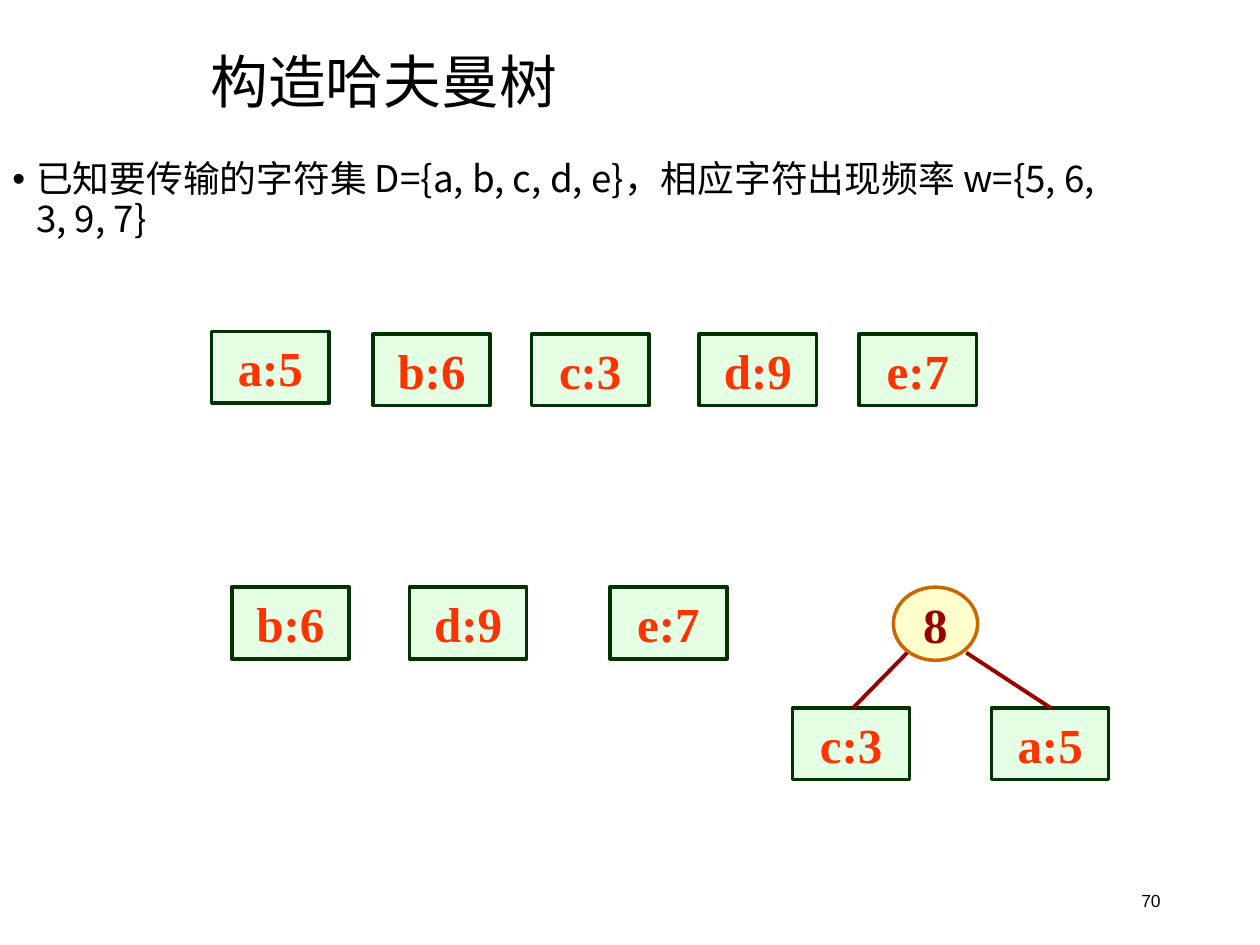
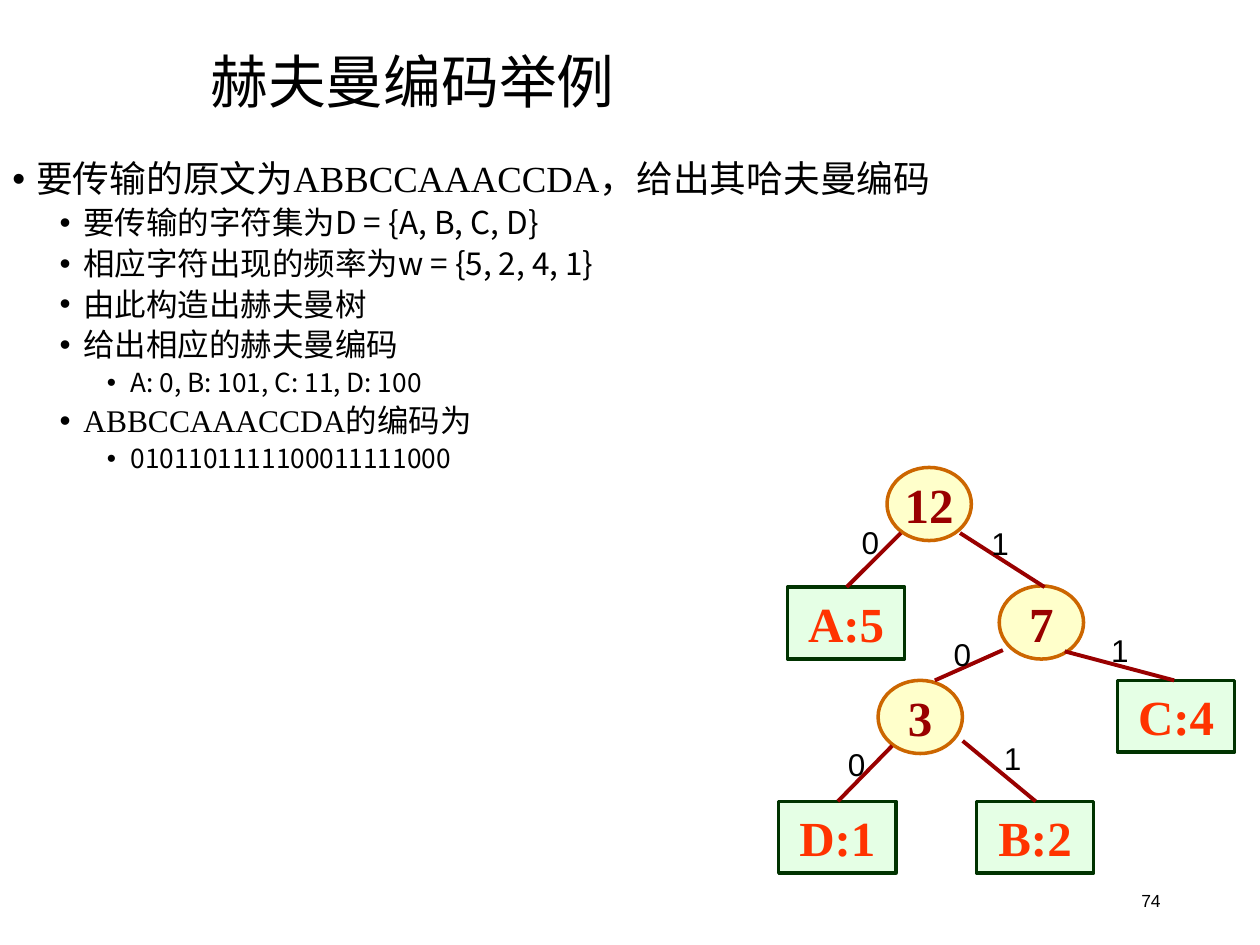
from lxml import etree
from pptx import Presentation
from pptx.dml.color import RGBColor
from pptx.enum.shapes import MSO_CONNECTOR, MSO_SHAPE
from pptx.enum.text import MSO_ANCHOR, MSO_AUTO_SIZE, PP_ALIGN
from pptx.oxml.ns import qn
from pptx.util import Pt

RECTANGLE, OVAL = MSO_SHAPE.RECTANGLE, MSO_SHAPE.OVAL
STRAIGHT = MSO_CONNECTOR.STRAIGHT
TOP, MIDDLE = MSO_ANCHOR.TOP, MSO_ANCHOR.MIDDLE
LEFT, CENTER, RIGHT = PP_ALIGN.LEFT, PP_ALIGN.CENTER, PP_ALIGN.RIGHT
NO_AUTOFIT = MSO_AUTO_SIZE.NONE

BLACK = RGBColor(0x00, 0x00, 0x00)
LEAF_FILL = RGBColor(0xCC, 0xFF, 0xCC)
LEAF_LINE = RGBColor(0x00, 0x33, 0x00)
LEAF_TEXT = RGBColor(0xFF, 0x33, 0x00)
NODE_FILL = RGBColor(0xFF, 0xFF, 0x99)
NODE_LINE = RGBColor(0xCC, 0x66, 0x00)
DARK_RED = RGBColor(0x99, 0x00, 0x00)

SANS, CHINESE, SERIF = "Arial", "Noto Sans CJK SC", "Times New Roman"
LEAF_SIZE = (67, 41)
NODE_SIZE = (48.2, 41.8)
BULLET_SIZES = (21, 18, 15)
HANGING = 13.5

FOREST = [
    ("a:5", 121, 189.4), ("b:6", 213.1, 190.8), ("c:3", 303.8, 190.8),
    ("d:9", 399.6, 190.8), ("e:7", 491, 190.8),
    ("b:6", 132.5, 335.5), ("d:9", 234, 335.5), ("e:7", 348.5, 335.5),
    ("c:3", 452.9, 404.6), ("a:5", 566.6, 404.6),
]
FOREST_NODES = [("8", 510.5, 335.5)]
FOREST_EDGES = [
    (518.4, 373, 487.4, 404.6), (552.2, 373, 600.5, 404.6),
]
FOREST_TEXT = [
    (0, "已知要传输的字符集 D={a, b, c, d, e}，相应字符出现频率 w={5, 6, 3, 9, 7}", CHINESE),
]

CODE_LEAVES = [
    ("A:5", 450, 335.5), ("B:2", 558, 457.9),
    ("C:4", 638.6, 388.8), ("D:1", 445, 457.9),
]
CODE_NODES = [("12", 506.9, 267.1), ("7", 571, 334.8), ("3", 501.8, 388.8)]
CODE_EDGES = [
    (514.8, 304.6, 483.8, 335.5), (548.6, 304.6, 596.9, 335.5),
    (573.1, 371.5, 534.2, 388.8), (608.4, 372.2, 671, 388.8),
    (509.8, 426.2, 478.8, 457.9), (550.1, 423.4, 591.8, 457.9),
]
CODE_BITS = [
    ("0", 485.3, 295.2), ("1", 559.4, 295.9),
    ("0", 537.8, 359.3), ("1", 627.8, 357.1),
    ("0", 477.4, 421.9), ("1", 566.6, 419),
]
CODE_TEXT = [
    (0, "要传输的原文为ABBCCAAACCDA，给出其哈夫曼编码", SERIF),
    (1, "要传输的字符集为D = {A, B, C, D}", CHINESE),
    (1, "相应字符出现的频率为w = {5, 2, 4, 1}", CHINESE),
    (1, "由此构造出赫夫曼树", CHINESE),
    (1, "给出相应的赫夫曼编码", CHINESE),
    (2, "A: 0, B: 101, C: 11, D: 100", CHINESE),
    (1, "ABBCCAAACCDA的编码为", SERIF),
    (2, "0101101111100011111000", CHINESE),
]


def format_runs(paragraph, font_name, size, color=BLACK, bold=False):
    """Give every run its Latin font, Chinese font, size and colour."""
    for run in paragraph.runs:
        run.font.name, run.font.size, run.font.bold = font_name, Pt(size), bold
        run.font.color.rgb = color
        latin = run.font._element.find(qn("a:latin"))
        east_asian = etree.Element(qn("a:ea"), typeface=CHINESE)
        latin.addnext(east_asian)


def add_text(slide, text, left, top, width, height, size, align=LEFT, anchor=TOP):
    """Add a one-line sans-serif text box."""
    box = slide.shapes.add_textbox(Pt(left), Pt(top), Pt(width), Pt(height))
    frame = box.text_frame
    frame.word_wrap = True
    frame.vertical_anchor = anchor
    frame.text = text
    frame.paragraphs[0].alignment = align
    format_runs(frame.paragraphs[0], SANS, size)


def add_title_slide(presentation, title_text, page_number):
    """Add a slide with its title and page number."""
    slide = presentation.slides.add_slide(presentation.slide_layouts[5])
    title = slide.shapes.title
    title.left, title.top, title.width, title.height = Pt(113), Pt(25), Pt(607), Pt(47)
    frame = title.text_frame
    frame.text = title_text
    frame.auto_size = NO_AUTOFIT
    frame.vertical_anchor = MIDDLE
    paragraph = frame.paragraphs[0]
    paragraph.alignment = LEFT
    paragraph.line_spacing = 0.9
    format_runs(paragraph, CHINESE, 33)
    add_text(slide, page_number, 508.3, 500.4, 162, 28.8, 10, RIGHT, MIDDLE)
    return slide


def add_bullets(slide, items, height):
    """Add the bulleted body text, indented by level."""
    box = slide.shapes.add_textbox(0, Pt(88.6), Pt(646.6), Pt(height))
    frame = box.text_frame
    frame.word_wrap = True
    for index, (level, text, font_name) in enumerate(items):
        paragraph = frame.add_paragraph() if index else frame.paragraphs[0]
        paragraph.text = text
        paragraph.level = level
        properties = paragraph._p.get_or_add_pPr()
        properties.set("marL", str(Pt(HANGING + 27 * level)))
        properties.set("indent", str(-Pt(HANGING)))
        etree.SubElement(properties, qn("a:buFont"), typeface=SANS)
        etree.SubElement(properties, qn("a:buChar"), char="•")
        paragraph.line_spacing = 0.9
        if index:
            paragraph.space_before = Pt(3.8)
        format_runs(paragraph, font_name, BULLET_SIZES[level])


def add_vertex(slide, preset, text, left, top, size, fill, line, color):
    """Add a half-transparent tree vertex with a bold label."""
    shape = slide.shapes.add_shape(preset, Pt(left), Pt(top), *map(Pt, size))
    shape.shadow.inherit = False
    shape.fill.solid()
    shape.fill.fore_color.rgb = fill
    fill_color = shape._element.spPr.find(qn("a:solidFill"))[0]
    etree.SubElement(fill_color, qn("a:alpha"), val="50000")
    shape.line.color.rgb = line
    shape.line.width = Pt(2)
    frame = shape.text_frame
    frame.word_wrap = preset == RECTANGLE
    frame.vertical_anchor = TOP if preset == RECTANGLE else MIDDLE
    frame.text = text
    frame.paragraphs[0].alignment = CENTER
    format_runs(frame.paragraphs[0], SERIF, 28, color, True)


def add_edge(slide, *ends):
    """Add a branch between a parent and a child."""
    connector = slide.shapes.add_connector(STRAIGHT, *map(Pt, ends))
    connector.line.color.rgb = DARK_RED
    connector.line.width = Pt(2.25)
    etree.SubElement(connector._element.spPr, qn("a:effectLst"))


def add_tree(slide, leaves, nodes, edges):
    """Add leaves, inner nodes and the branches over them."""
    for leaf in leaves:
        add_vertex(slide, RECTANGLE, *leaf, LEAF_SIZE, LEAF_FILL, LEAF_LINE, LEAF_TEXT)
    for node in nodes:
        add_vertex(slide, OVAL, *node, NODE_SIZE, NODE_FILL, NODE_LINE, DARK_RED)
    for edge in edges:
        add_edge(slide, *edge)


def main():
    """Build and save the two slides."""
    presentation = Presentation()
    presentation.slide_width, presentation.slide_height = Pt(720), Pt(540)

    slide = add_title_slide(presentation, "构造哈夫曼树", "70")
    add_bullets(slide, FOREST_TEXT, 95.8)
    add_tree(slide, FOREST, FOREST_NODES, FOREST_EDGES)

    slide = add_title_slide(presentation, "赫夫曼编码举例", "74")
    add_bullets(slide, CODE_TEXT, 391)
    add_tree(slide, CODE_LEAVES, CODE_NODES, CODE_EDGES)
    for bit, left, top in CODE_BITS:
        add_text(slide, bit, left, top, 23, 29, 18)

    presentation.save("out.pptx")


if __name__ == "__main__":
    main()
